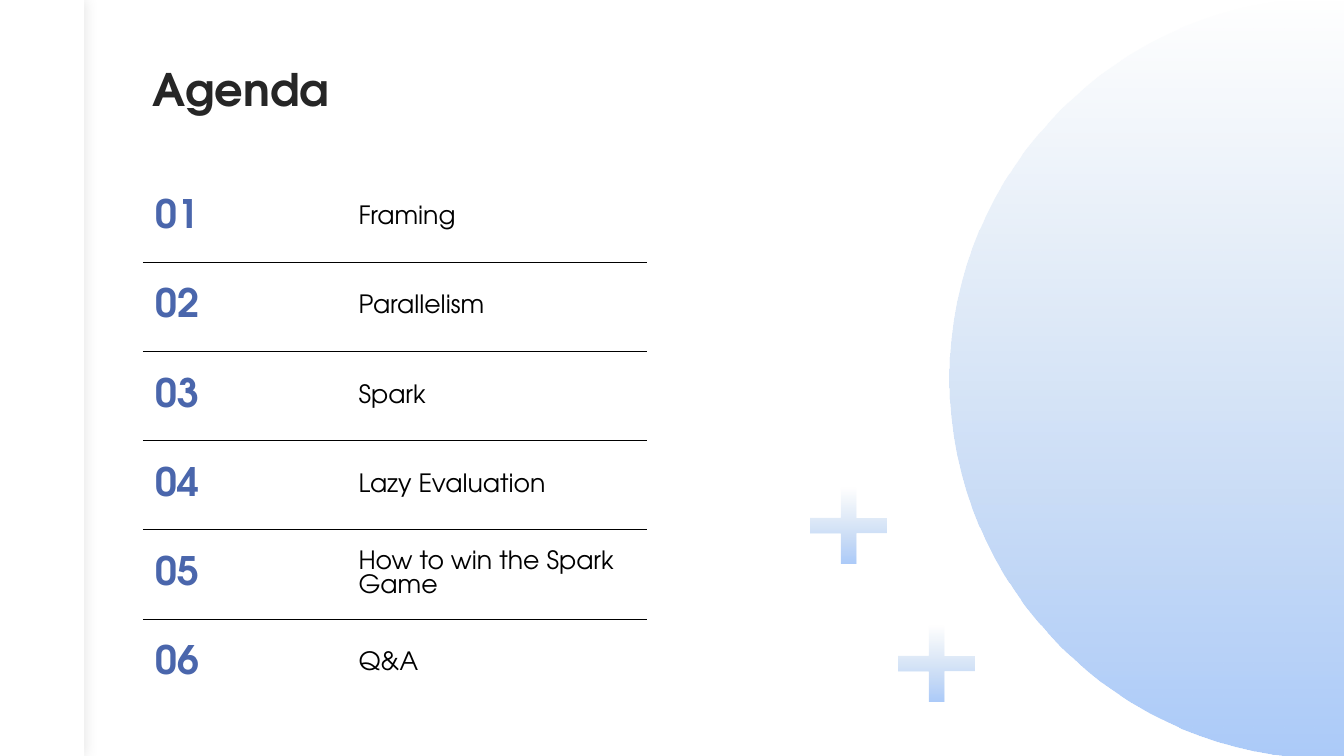
from lxml.etree import SubElement
from pptx import Presentation
from pptx.dml.color import RGBColor
from pptx.enum.shapes import MSO_SHAPE as Shape
from pptx.enum.text import MSO_ANCHOR as Anchor, PP_ALIGN as Align
from pptx.oxml import parse_xml
from pptx.oxml.ns import nsdecls, qn
from pptx.util import Cm, Pt

COLORS = {
    "white": "FFFFFF", "title": "262626", "number": "4A66AC",
    "text": "000000", "fade_top": "B4CCE7", "fade_bottom": "ACCBF9",
}
FONT = "TeX Gyre Adventor"
TOPICS = ["Framing", "Parallelism", "Spark", "Lazy Evaluation",
          "How to win the Spark Game", "Q&A"]
WIDTH, HEIGHT = 33.87, 19.05


def rgb(name):
    """Look up a named colour."""
    return RGBColor.from_string(COLORS[name])


def style(p, size, color, bold=False):
    """Set the font of a whole paragraph."""
    font = p.font
    font.name, font.size, font.bold = FONT, Pt(size), bold
    font.color.rgb = rgb(color)


def fade(sp):
    """Fill a shape from clear at the top to blue at the bottom."""
    sp.shadow.inherit = False
    sp.line.fill.background()
    sp.fill.gradient()
    sp.fill.gradient_angle = 270
    stops = sp.fill.gradient_stops
    for stop, name, position in zip(stops, ("fade_top", "fade_bottom"), (0, 1)):
        stop.color.rgb = rgb(name)
        stop.position = position
    clear = sp._element.spPr.find(".//" + qn("a:srgbClr"))
    SubElement(clear, qn("a:alpha"), val="0")


def add_strip(s, x, y, w, h):
    """Draw the white side strip with its soft shadow."""
    sp = s.shapes.add_shape(Shape.RECTANGLE, Cm(x), Cm(y), Cm(w), Cm(h))
    sp.fill.solid()
    sp.fill.fore_color.rgb = rgb("white")
    sp.line.fill.background()
    sp._element.spPr.append(parse_xml(
        f'<a:effectLst {nsdecls("a")}><a:outerShdw blurRad="{Pt(10)}" dist="0" '
        f'algn="ctr" rotWithShape="0"><a:srgbClr val="{COLORS["text"]}">'
        '<a:alpha val="10000"/></a:srgbClr></a:outerShdw></a:effectLst>'))


def add_plus(s, x, y, size):
    """Draw one fading plus sign."""
    sp = s.shapes.add_shape(Shape.CROSS, Cm(x), Cm(y), Cm(size), Cm(size))
    sp.adjustments[0] = 0.398
    fade(sp)


def add_disc(s, cx, cy, radius, right):
    """Draw the fading disc with two quarter curves and a cut right edge."""
    top, bottom = cy - radius, cy + radius
    outline = [(right, top), (right, bottom), (cx, bottom),
               (cx - radius, cy), (cx, top)]
    builder = s.shapes.build_freeform(Cm(cx), Cm(top))
    builder.add_line_segments([(Cm(x), Cm(y)) for x, y in outline], close=True)
    sp = builder.convert_to_shape()
    near, far = 0.45 * radius, 1.55 * radius
    handles = [((near, 2 * radius), (0, far)), ((0, near), (near, 0))]
    quarters = list(sp._element.iter(qn("a:lnTo")))[-2:]
    for quarter, pair in zip(quarters, handles):
        quarter.tag = qn("a:cubicBezTo")
        end = quarter[0]
        for x, y in pair:
            SubElement(quarter, qn("a:pt"), x=str(Cm(x)), y=str(Cm(y)))
        quarter.append(end)
    fade(sp)


def add_title(s, x, y, w, h, text):
    """Place and format the title placeholder."""
    sp = s.shapes.title
    sp.left, sp.top, sp.width, sp.height = Cm(x), Cm(y), Cm(w), Cm(h)
    tf = sp.text_frame
    tf.text = text
    tf.word_wrap = True
    tf.vertical_anchor = Anchor.TOP
    p = tf.paragraphs[0]
    p.alignment = Align.LEFT
    p.line_spacing = 0.8
    style(p, 32, "title", True)


def set_border(cell, side, shown):
    """Draw or hide one border of a table cell."""
    ln = SubElement(cell._tc.get_or_add_tcPr(), qn(f"a:ln{side}"), w=str(Pt(0.5)))
    if shown:
        fill = SubElement(ln, qn("a:solidFill"))
        SubElement(fill, qn("a:srgbClr"), val=COLORS["text"])
    else:
        SubElement(ln, qn("a:noFill"))


def add_agenda(s, x, y, w, h, topics):
    """Build the numbered agenda table with rules between its rows."""
    count = len(topics)
    table = s.shapes.add_table(count, 2, Cm(x), Cm(y), Cm(w), Cm(h)).table
    table.first_row = table.horz_banding = False
    number_width = 0.402 * w
    table.columns[0].width = Cm(number_width)
    table.columns[1].width = Cm(w - number_width)
    for i, topic in enumerate(topics):
        entries = [(f"{i + 1:02}", 28, "number", True), (topic, 18, "text", False)]
        for cell, (text, *look) in zip(table.rows[i].cells, entries):
            borders = {"L": False, "R": False, "T": i > 0, "B": i < count - 1}
            for side, shown in borders.items():
                set_border(cell, side, shown)
            cell.fill.background()
            cell.vertical_anchor = Anchor.MIDDLE
            cell.margin_left = cell.margin_right = Cm(0.33)
            cell.margin_top = cell.margin_bottom = Cm(0.33)
            cell.text = text
            style(cell.text_frame.paragraphs[0], *look)


def main():
    """Build the agenda slide and save it."""
    prs = Presentation()
    prs.slide_width, prs.slide_height = Cm(WIDTH), Cm(HEIGHT)
    s = prs.slides.add_slide(prs.slide_layouts[5])
    add_strip(s, 0, 0, 2.12, HEIGHT)
    for x, y in [(22.64, 15.77), (20.42, 12.28)]:
        add_plus(s, x, y, 1.91)
    add_disc(s, 33.5, HEIGHT / 2, 9.58, WIDTH)
    add_title(s, 3.6, 1.7, 13.67, 4.01, "Agenda")
    add_agenda(s, 3.6, 4.37, 12.7, 13.47, TOPICS)
    prs.save("out.pptx")


if __name__ == "__main__":
    main()
